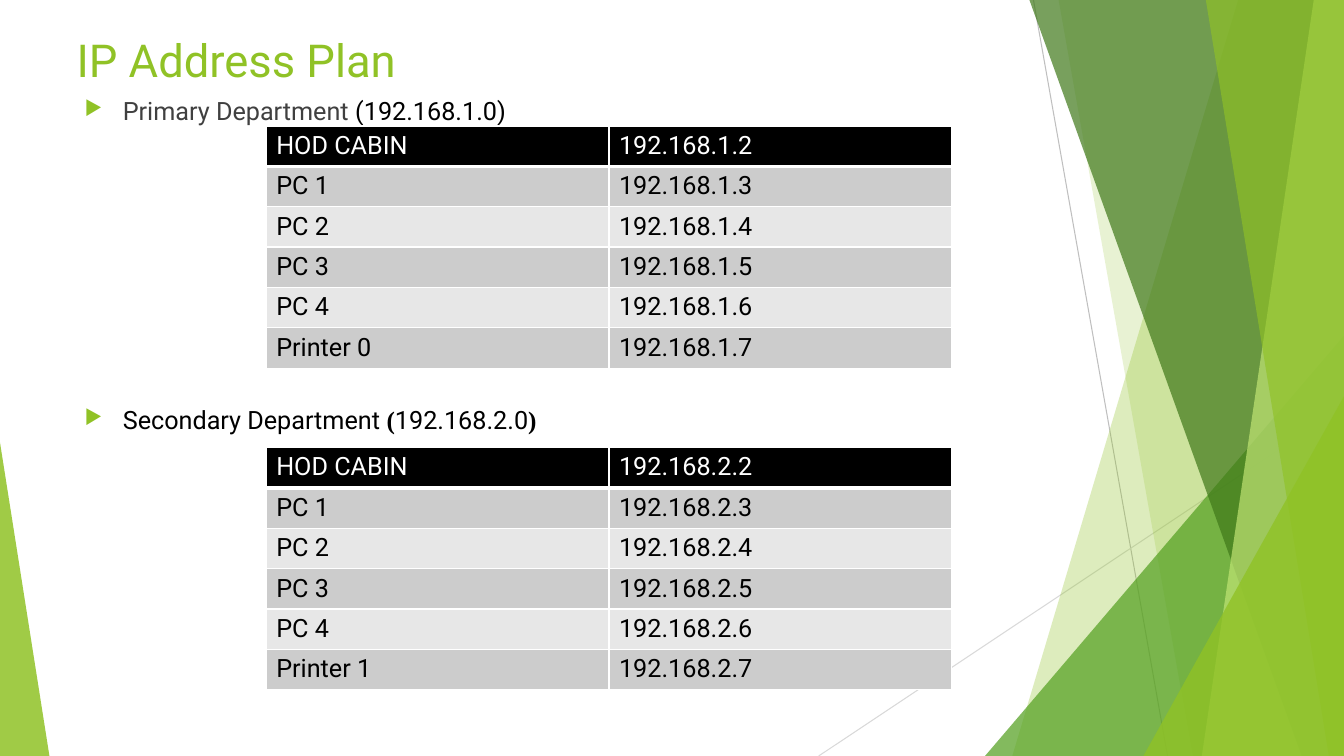
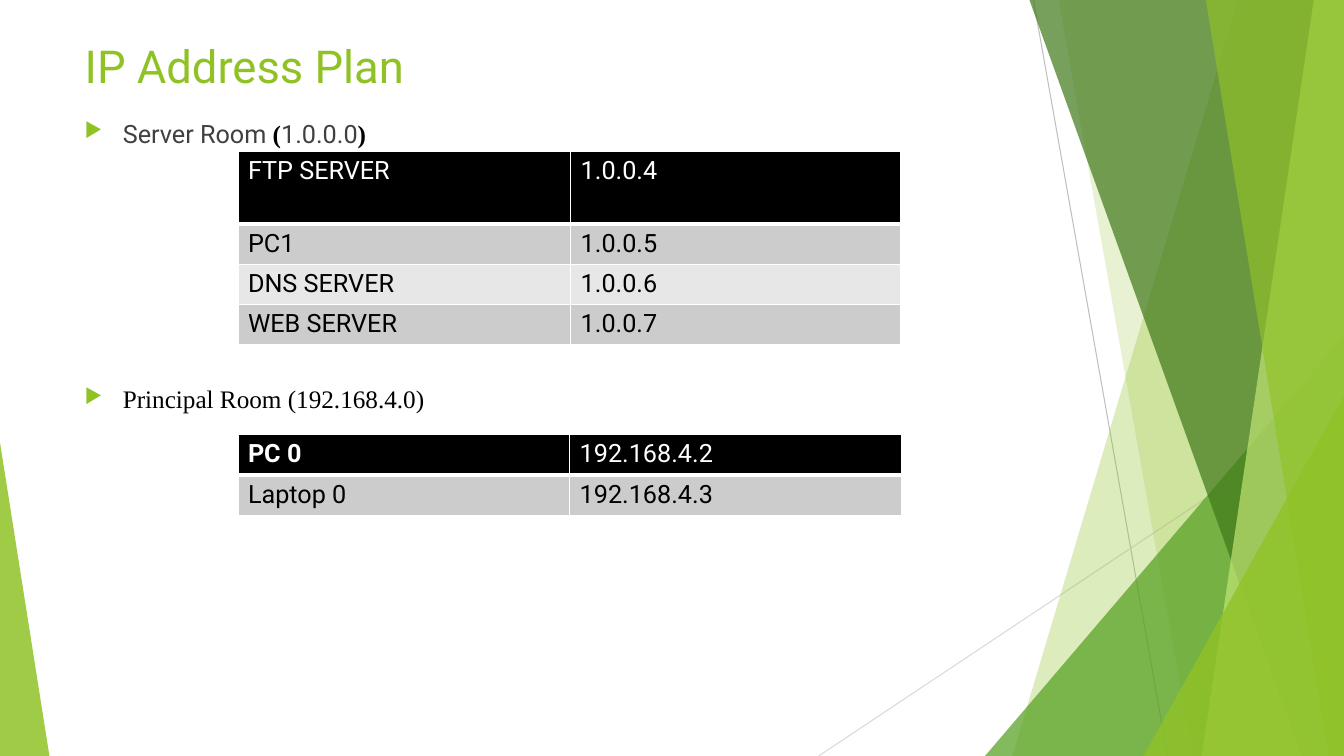
"""Build the two IP address plan slides."""
from dataclasses import dataclass

from lxml.etree import SubElement
from pptx import Presentation
from pptx.dml.color import RGBColor
from pptx.enum.shapes import MSO_CONNECTOR, MSO_SHAPE
from pptx.enum.text import MSO_ANCHOR, PP_ALIGN
from pptx.oxml.ns import qn
from pptx.util import Inches, Pt

WIDTH, HEIGHT = 13.33, 7.5


@dataclass(frozen=True)
class Theme:
    lime: str = "90C226"
    pale_lime: str = "C0E474"
    green: str = "54A021"
    forest: str = "3F7819"
    grey: str = "404040"
    black: str = "000000"
    white: str = "FFFFFF"
    bands: tuple = ("E7E7E7", "CCCCCC")
    rules: tuple = ("BFBFBF", "D9D9D9")
    sans: str = "Roboto"
    serif: str = "Times New Roman"
    title_size: float = 32.4
    text_size: int = 18


class Deck:
    def __init__(self, theme):
        self.theme = theme
        self.presentation = Presentation()
        self.presentation.slide_width = Inches(WIDTH)
        self.presentation.slide_height = Inches(HEIGHT)
        self.layout = self.presentation.slide_layouts[5]
        self.slide = None

    def add_slide(self, title, left, top):
        self.slide = self.presentation.slides.add_slide(self.layout)
        heading = self.slide.shapes.title
        heading.left, heading.top = Inches(left), Inches(top)
        heading.width, heading.height = Inches(9.4), Inches(0.63)
        frame = heading.text_frame
        frame.text = title
        frame.vertical_anchor = MSO_ANCHOR.MIDDLE
        frame.paragraphs[0].alignment = PP_ALIGN.LEFT
        self.style(frame.paragraphs[0].runs[0], self.theme.lime, size=self.theme.title_size)

    def style(self, run, color, font=None, bold=False, size=None):
        run.font.name = font or self.theme.sans
        run.font.size = Pt(size or self.theme.text_size)
        run.font.bold = bold
        run.font.color.rgb = RGBColor.from_string(color)

    def paint(self, shape, color, opacity):
        shape.shadow.inherit = False
        shape.fill.solid()
        shape.fill.fore_color.rgb = RGBColor.from_string(color)
        shape.line.fill.background()
        tint = shape._element.spPr.find(qn("a:solidFill")).find(qn("a:srgbClr"))
        SubElement(tint, qn("a:alpha"), val=str(opacity * 1000))

    def rule(self, start, end, color):
        points = [Inches(value) for value in (*start, *end)]
        rule = self.slide.shapes.add_connector(MSO_CONNECTOR.STRAIGHT, *points)
        rule.line.color.rgb = RGBColor.from_string(color)
        rule.line.width = Pt(0.75)
        SubElement(rule._element.spPr, qn("a:effectLst"))

    def shard(self, top_left, bottom_left, color, opacity):
        corners = [(WIDTH, 0), (WIDTH, HEIGHT), (bottom_left, HEIGHT)]
        outline = self.slide.shapes.build_freeform(Inches(top_left), 0)
        outline.add_line_segments([(Inches(x), Inches(y)) for x, y in corners])
        self.paint(outline.convert_to_shape(), color, opacity)

    def wedge(self, left, top, width, peak, color, opacity):
        wedge = self.slide.shapes.add_shape(
            MSO_SHAPE.ISOSCELES_TRIANGLE,
            Inches(left), Inches(top), Inches(width), Inches(HEIGHT - top))
        wedge.adjustments[0] = peak
        self.paint(wedge, color, opacity)

    def backdrop(self):
        theme = self.theme
        self.rule((10.25, 0), (11.58, HEIGHT), theme.rules[0])
        self.rule((WIDTH, 4.03), (8.12, HEIGHT), theme.rules[1])
        self.shard(12.28, 10.04, theme.lime, 30)
        self.shard(10.5, 11.83, theme.lime, 20)
        self.wedge(9.77, 3.33, 3.56, 1, theme.green, 72)
        self.shard(10.21, 12.91, theme.forest, 70)
        self.shard(13.03, 11.92, theme.pale_lime, 70)
        self.shard(11.96, 13.18, theme.lime, 65)
        self.wedge(11.34, 3.93, 1.99, 1, theme.lime, 80)
        self.wedge(0, 4.39, 0.49, 0, theme.lime, 85)
        self.move_to_layout()

    def move_to_layout(self):
        decorations = [shape for shape in self.slide.shapes if not shape.is_placeholder]
        for number, shape in enumerate(decorations, start=100):
            shape._element.xpath(".//p:cNvPr")[0].set("id", str(number))
            self.layout.shapes._spTree.append(shape._element)

    def bullets(self, top, height, gap, items):
        box = self.slide.shapes.add_textbox(
            Inches(0.74), Inches(top), Inches(9.4), Inches(height))
        frame = box.text_frame
        frame.word_wrap = True
        for index, pieces in enumerate(items):
            paragraph = frame.add_paragraph() if index else frame.paragraphs[0]
            paragraph.space_before = Pt(gap if index else 0)
            properties = paragraph._p.get_or_add_pPr()
            properties.set("marL", str(Inches(0.38)))
            properties.set("indent", str(Inches(-0.38)))
            tint = SubElement(properties, qn("a:buClr"))
            SubElement(tint, qn("a:srgbClr"), val=self.theme.lime)
            SubElement(properties, qn("a:buSzPct"), val="80000")
            SubElement(properties, qn("a:buChar"), char="▶")
            for text, *look in pieces:
                run = paragraph.add_run()
                run.text = text
                self.style(run, *look)

    def borders(self, cell, row):
        widths = {"L": 1, "R": 1, "T": 3 if row == 1 else 1, "B": 1 if row else 3}
        properties = cell._tc.get_or_add_tcPr()
        for position, (side, width) in enumerate(widths.items()):
            edge = SubElement(properties, qn(f"a:ln{side}"), w=str(Pt(width)))
            fill = SubElement(edge, qn("a:solidFill"))
            SubElement(fill, qn("a:srgbClr"), val=self.theme.white)
            properties.insert(position, edge)

    def address_table(self, left, top, columns, heights, hosts, bold_host=False):
        theme = self.theme
        table = self.slide.shapes.add_table(
            len(hosts), 2, Inches(left), Inches(top),
            Inches(sum(columns)), Inches(sum(heights))).table
        for column, width in zip(table.columns, columns):
            column.width = Inches(width)
        for row, (height, host) in enumerate(zip(heights, hosts)):
            table.rows[row].height = Inches(height)
            for column, text in enumerate(host):
                cell = table.cell(row, column)
                cell.text = text
                cell.fill.solid()
                cell.fill.fore_color.rgb = RGBColor.from_string(
                    theme.bands[row % 2] if row else theme.black)
                self.borders(cell, row)
                self.style(cell.text_frame.paragraphs[0].runs[0],
                           theme.black if row else theme.white,
                           bold=bold_host and row == 0 and column == 0)


def department(subnet, printer):
    names = ["HOD CABIN", "PC 1", "PC 2", "PC 3", "PC 4", printer]
    return [(name, f"{subnet}.{host}") for host, name in enumerate(names, start=2)]


theme = Theme()
deck = Deck(theme)
grey = (theme.grey,)
black = (theme.black,)
serif = (theme.black, theme.serif)
bold_serif = (*serif, True)

deck.add_slide("IP Address Plan", 0.66, 0.27)
deck.backdrop()
deck.bullets(0.9, 6.49, 199, [
    [("Primary Department ", *grey), ("(192.168.1.0)", *black)],
    [("Secondary Department ", *black), ("(", *bold_serif),
     ("192.168.2.0", *black), (")", *bold_serif)],
])
deck.address_table(2.64, 1.25, (3.4, 3.4), [0.4] * 6, department("192.168.1", "Printer 0"))
deck.address_table(2.64, 4.44, (3.4, 3.4), [0.39] * 6, department("192.168.2", "Printer 1"))

deck.add_slide("IP Address Plan", 0.74, 0.33)
deck.bullets(1.12, 5.49, 168, [
    [("Server Room ", *grey), ("(", *bold_serif), ("1.0.0.0", *grey), (")", *bold_serif)],
    [("Principal Room (192.168.4.0)", *serif)],
])
deck.address_table(2.36, 1.5, (3.3, 3.27), [0.72, 0.39, 0.39, 0.39], [
    ("FTP SERVER", "1.0.0.4"), ("PC1", "1.0.0.5"),
    ("DNS SERVER", "1.0.0.6"), ("WEB SERVER", "1.0.0.7"),
])
deck.address_table(2.36, 4.31, (3.29, 3.29), [0.39] * 2, [
    ("PC 0", "192.168.4.2"), ("Laptop 0", "192.168.4.3"),
], bold_host=True)

deck.presentation.save("out.pptx")
